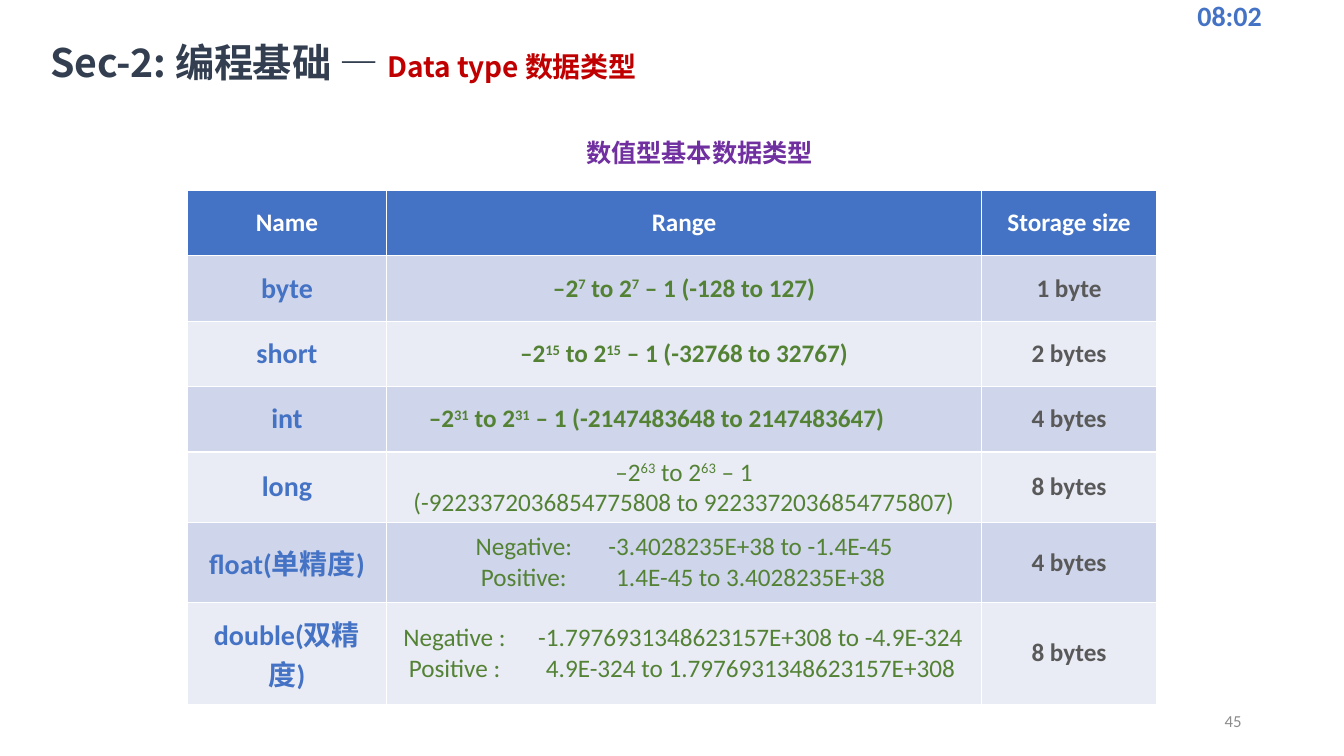
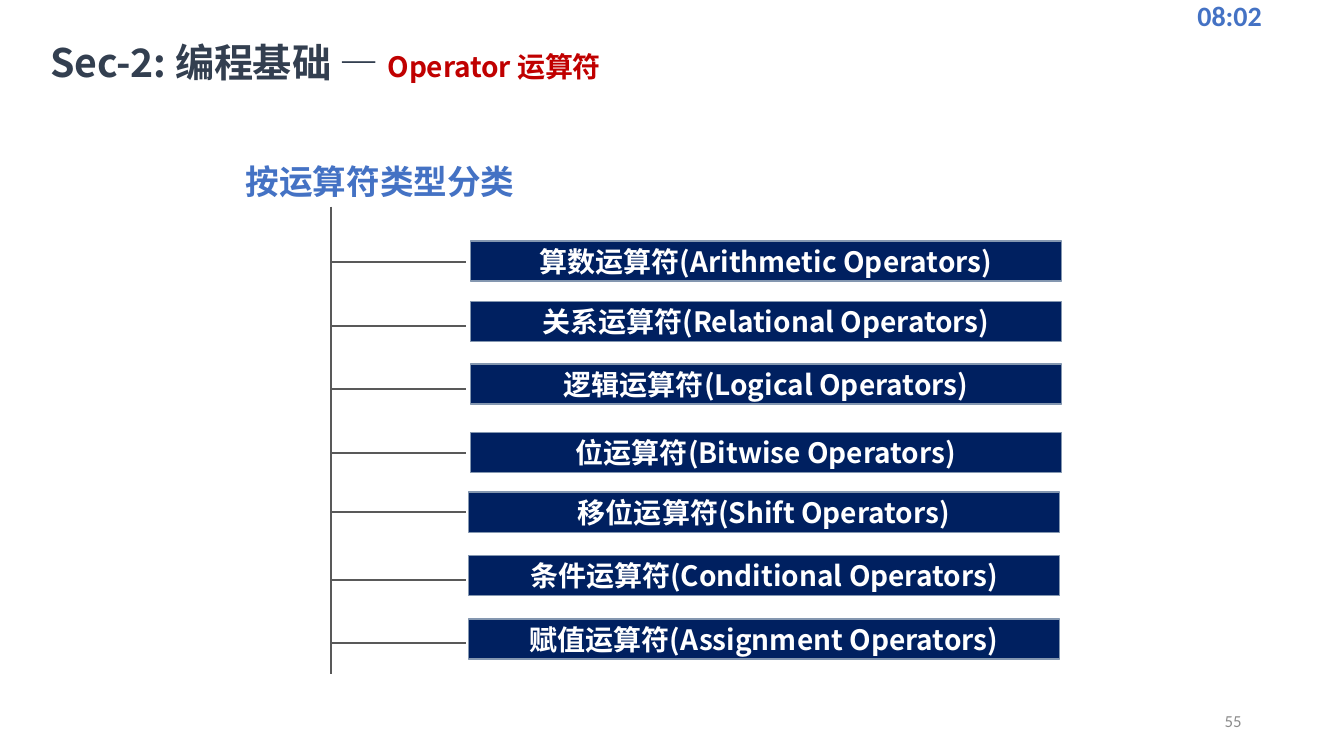
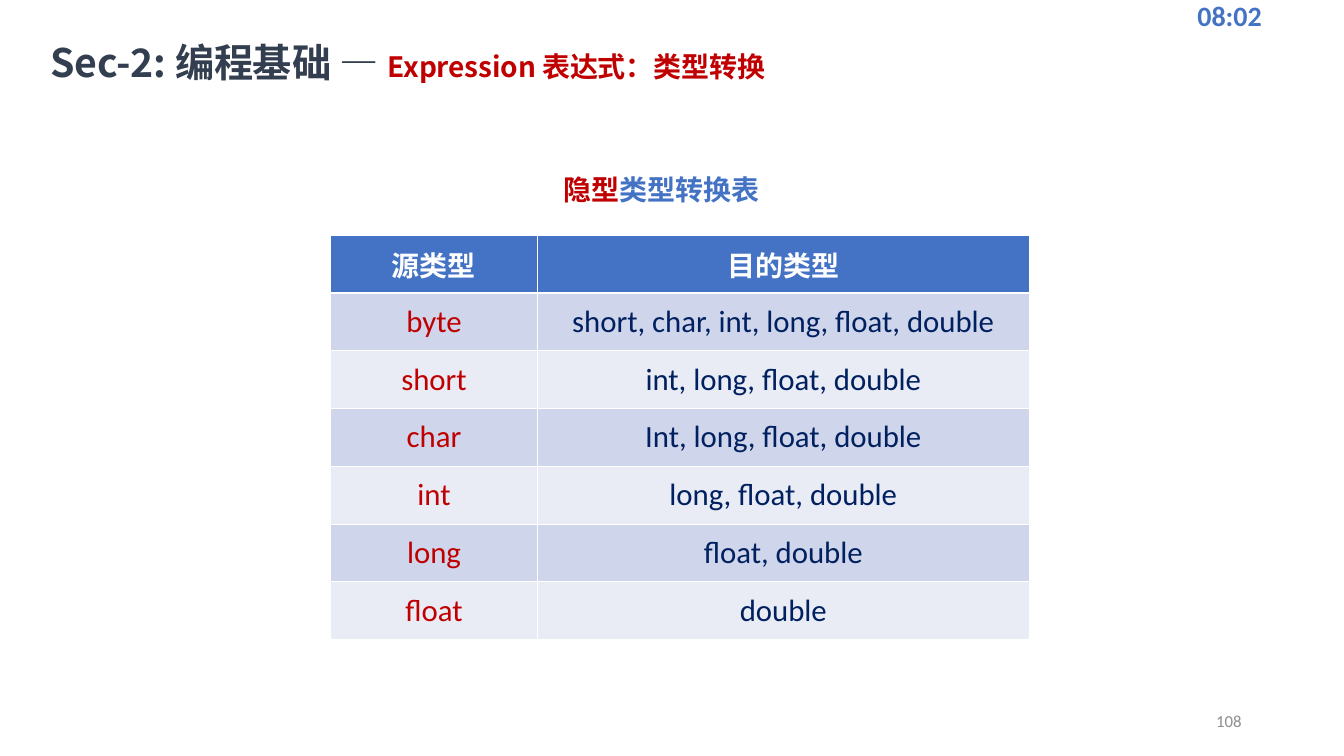
"""Build three slides on programming basics: data types, operators and type conversion."""
from lxml import etree
from pptx import Presentation
from pptx.dml.color import RGBColor
from pptx.enum import shapes, text
from pptx.oxml.ns import qn
from pptx.util import Pt

C = {"blue": "4472C4", "navy": "002060", "red": "C00000", "slate": "333F50", "gray": "595959",
     "page": "8C8C8C", "green": "548235", "purple": "7030A0", "white": "FFFFFF",
     "edge": "8497B0", "band": "CFD5EA", "pale": "E9EBF5"}
LATIN, CJK = "Calibri", "Noto Sans CJK SC"
LEFT, CENTER, RIGHT = text.PP_ALIGN.LEFT, text.PP_ALIGN.CENTER, text.PP_ALIGN.RIGHT
TOP, MIDDLE = text.MSO_ANCHOR.TOP, text.MSO_ANCHOR.MIDDLE


def add_run(p, txt, size, color, bold=True, font=LATIN, **attrs):
    """Append one formatted run to a paragraph."""
    r = p.add_run()
    r.text = txt
    r.font.size, r.font.bold, r.font.name = Pt(size), bold, font
    r.font.color.rgb = RGBColor.from_string(C[color])
    rPr = r._r.get_or_add_rPr()
    etree.SubElement(rPr, qn("a:ea")).set("typeface", CJK)
    for key, value in attrs.items():
        rPr.set(key, value)


def add_label(s, x, y, w, h, align=LEFT, anchor=TOP):
    """Add an empty text box and return its first paragraph."""
    tf = s.shapes.add_textbox(Pt(x), Pt(y), Pt(w), Pt(h)).text_frame
    tf.word_wrap, tf.vertical_anchor = True, anchor
    p = tf.paragraphs[0]
    p.alignment = align
    return p


prs = Presentation()
prs.slide_width, prs.slide_height = Pt(960), Pt(540)

slides = []
for topic, number, width in (("Data type 数据类型", "45", 466.6),
                             ("Operator 运算符", "55", 466.6),
                             ("Expression 表达式：类型转换", "108", 551.5)):
    s = prs.slides.add_slide(prs.slide_layouts[5])
    slides.append(s)
    title = s.shapes.title
    title.left, title.top, title.width, title.height = Pt(36), Pt(30.2), Pt(width), Pt(34.6)
    tf = title.text_frame
    tf.word_wrap, tf.auto_size, tf.vertical_anchor = True, text.MSO_AUTO_SIZE.NONE, TOP
    tf.margin_left = tf.margin_right = tf.margin_bottom = 0
    tf.margin_top = Pt(0.7)
    p = tf.paragraphs[0]
    p.alignment, p.line_spacing = LEFT, 0.9
    add_run(p, "Sec-2: 编程基础 — ", 28, "slate", font=CJK, spc="-10")
    add_run(p, topic, 20, "red", font=CJK, spc="-10")
    add_run(add_label(s, 848.2, -3.6, 128, 28.8, anchor=MIDDLE), "08:02", 20, "blue")
    add_run(add_label(s, 678, 500.4, 216, 28.8, RIGHT, MIDDLE), number, 12, "page", False)
types_slide, operators_slide, conversion_slide = slides

p = add_label(types_slide, 372.2, 94.3, 254.9, 28.8, CENTER)
add_run(p, "数值型基本数据类型", 18, "purple", font=CJK)

types = [
    ("Name", ["Range"], "Storage size"),
    ("byte", ["–2^7^ to 2^7^ – 1 (-128 to 127)"], "1 byte"),
    ("short", ["–2^15^ to 2^15^ – 1 (-32768 to 32767)"], "2 bytes"),
    ("int", ["–2^31^ to 2^31^ – 1 (-2147483648 to 2147483647)"], "4 bytes"),
    ("long", ["–2^63^ to 2^63^ – 1", "(-9223372036854775808 to 9223372036854775807)"], "8 bytes"),
    ("float(单精度)", ["\tNegative:\t-3.4028235E+38 to -1.4E-45",
                    "\tPositive:\t1.4E-45 to 3.4028235E+38"], "4 bytes"),
    ("double(双精度)", ["\tNegative :\t-1.7976931348623157E+308 to -4.9E-324",
                     "\tPositive :\t4.9E-324 to 1.7976931348623157E+308"], "8 bytes"),
]
label_centers = {5: 91, 6: 41.5}
value_center = 253
table = types_slide.shapes.add_table(7, 3, Pt(134), Pt(136.1), Pt(692), Pt(366.5)).table
for column, width in zip(table.columns, (142, 425.3, 124.7)):
    column.width = Pt(width)
for i, (name, ranges, size) in enumerate(types):
    table.rows[i].height = Pt({5: 57, 6: 72.8}.get(i, 46.7))
    for j, lines in enumerate(([name], ranges, [size])):
        cell = table.cell(i, j)
        cell.vertical_anchor = MIDDLE
        cell.fill.solid()
        cell.fill.fore_color.rgb = RGBColor.from_string(
            C["blue" if i == 0 else "band" if i % 2 else "pale"])
        color = "white" if i == 0 else ("blue", "green", "gray")[j]
        for k, line in enumerate(lines):
            p = cell.text_frame.paragraphs[0] if k == 0 else cell.text_frame.add_paragraph()
            p.alignment = CENTER
            if line.startswith("\t"):
                p.alignment = LEFT
                tabs = etree.SubElement(p._p.get_or_add_pPr(), qn("a:tabLst"))
                for stop in (label_centers[i], value_center):
                    tab = etree.SubElement(tabs, qn("a:tab"))
                    tab.set("pos", str(Pt(stop)))
                    tab.set("algn", "ctr")
            for n, part in enumerate(line.split("^")):
                add_run(p, part, 20 if i and j == 0 else 18, color, j != 1 or i < 4,
                        baseline="30000" if n % 2 else "0")
table.cell(3, 1).margin_right = Pt(46.4)

p = add_label(operators_slide, 168.5, 111.6, 254.9, 36)
add_run(p, "按运算符类型分类", 24, "blue", font=CJK)

operators = [
    ("算数运算符(Arithmetic Operators)", 187.2, 172.1),
    ("关系运算符(Relational Operators)", 232.6, 215.3),
    ("逻辑运算符(Logical Operators)", 277.9, 259.9),
    ("位运算符(Bitwise Operators)", 323.3, 308.9),
    ("移位运算符(Shift Operators)", 365.8, 351.4),
    ("条件运算符(Conditional Operators)", 414, 396.7),
    ("赋值运算符(Assignment Operators)", 459.4, 442.1),
]
trunk = 236.2
branches = [(trunk, 147.6, trunk, 481.7)] + [(trunk, y, 332.6, y) for name, y, top in operators]
for ends in branches:
    line = operators_slide.shapes.add_connector(
        shapes.MSO_CONNECTOR.STRAIGHT, *[Pt(v) for v in ends])
    line.line.color.rgb = RGBColor.from_string(C["gray"])
    line.line.width = Pt(1.5)
    etree.SubElement(line._element.spPr, qn("a:effectLst"))
for i, (name, y, top) in enumerate(operators):
    sp = operators_slide.shapes.add_shape(
        shapes.MSO_SHAPE.RECTANGLE, Pt(336.2 if i < 4 else 334.8), Pt(top), Pt(421.9), Pt(28.8))
    sp.shadow.inherit = False
    sp.fill.solid()
    sp.fill.fore_color.rgb = RGBColor.from_string(C["navy"])
    sp.line.color.rgb = RGBColor.from_string(C["edge"])
    sp.line.width = Pt(1)
    sp.text_frame.vertical_anchor = MIDDLE
    p = sp.text_frame.paragraphs[0]
    p.alignment = CENTER
    add_run(p, name, 20, "white", font=CJK)

p = add_label(conversion_slide, 395.3, 119.5, 158.4, 31.7)
add_run(p, "隐型", 20, "red", font=CJK)
add_run(p, "类型转换表", 20, "blue", font=CJK)

conversions = [
    ("源类型", "目的类型"),
    ("byte", "short, char, int, long, float, double"),
    ("short", "int, long, float, double"),
    ("char", "Int, long, float, double"),
    ("int", "long, float, double"),
    ("long", "float, double"),
    ("float", "double"),
]
table = conversion_slide.shapes.add_table(7, 2, Pt(236.2), Pt(168), Pt(499), Pt(289.1)).table
for column, width in zip(table.columns, (147.6, 351.4)):
    column.width = Pt(width)
for i, row in enumerate(conversions):
    table.rows[i].height = Pt(41.3)
    for j, txt in enumerate(row):
        cell = table.cell(i, j)
        cell.vertical_anchor = MIDDLE
        cell.fill.solid()
        cell.fill.fore_color.rgb = RGBColor.from_string(
            C["blue" if i == 0 else "band" if i % 2 else "pale"])
        p = cell.text_frame.paragraphs[0]
        p.alignment = CENTER
        if i == 0:
            add_run(p, txt, 20, "white", font=CJK)
        else:
            add_run(p, txt, 22, ("red", "navy")[j], False)

prs.save("out.pptx")
